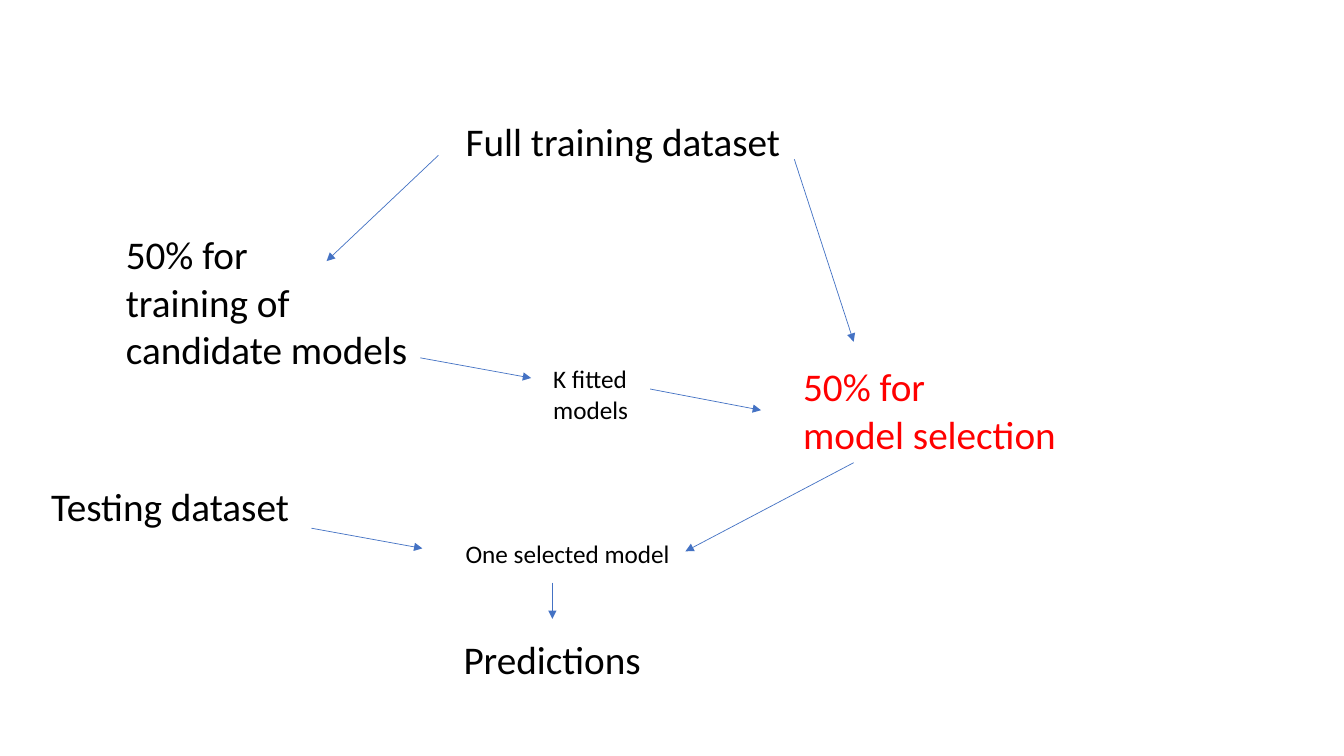
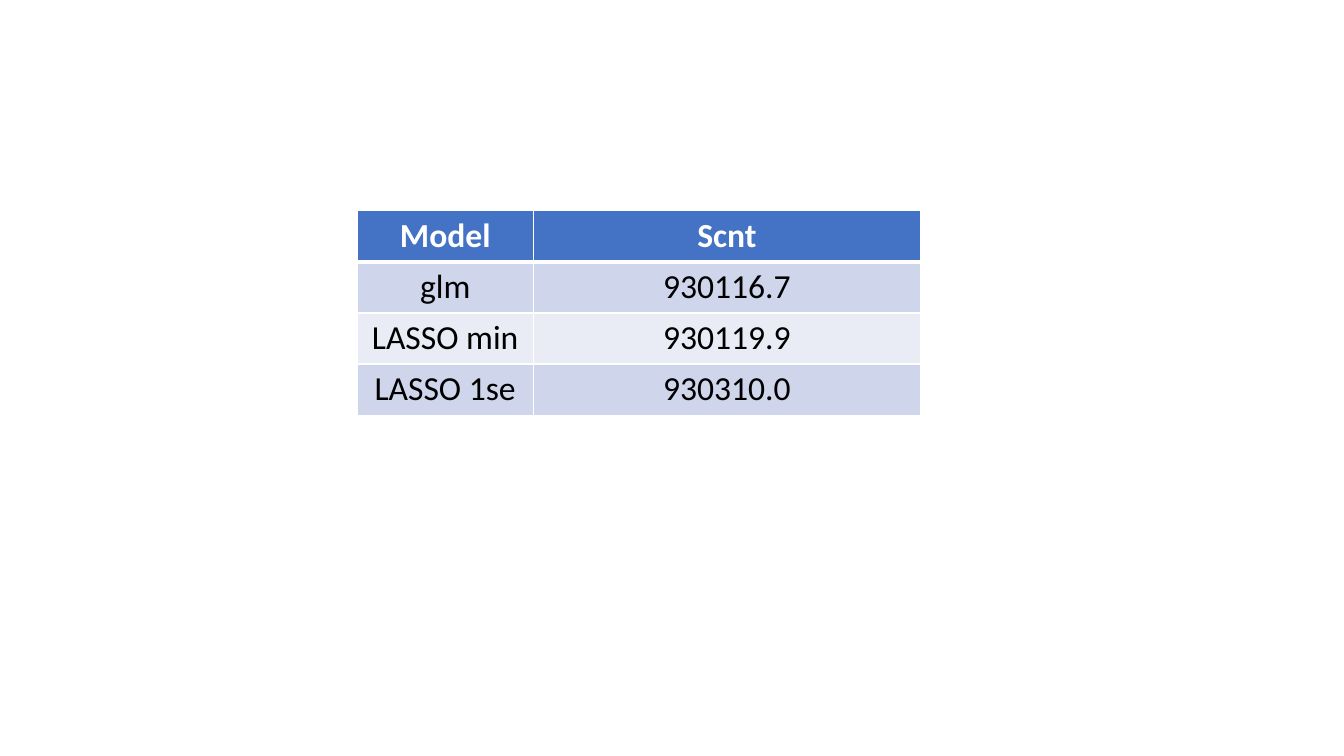
from pptx import Presentation
from pptx.dml.color import RGBColor
from pptx.enum.shapes import MSO_CONNECTOR
from pptx.enum.text import MSO_AUTO_SIZE, PP_ALIGN
from pptx.oxml.ns import qn
from pptx.util import Pt
from lxml import etree

STRAIGHT = MSO_CONNECTOR.STRAIGHT
GROW = MSO_AUTO_SIZE.SHAPE_TO_FIT_TEXT
CENTER = PP_ALIGN.CENTER

FONT = "Calibri"
BLACK, WHITE, RED = "000000", "FFFFFF", "FF0000"
BLUE, BAND_DARK, BAND_LIGHT = "4472C4", "CFD5EA", "E9EBF5"
LARGE, MEDIUM, SMALL = 28, 24, 18


def color(value):
    return RGBColor.from_string(value)


def add_span(para, text, size, ink, bold=False):
    span = para.add_run()
    span.text = text
    span.font.name = FONT
    span.font.size = Pt(size)
    span.font.bold = bold
    span.font.color.rgb = color(ink)


def add_label(page, left, top, width, height, lines, size=LARGE, ink=BLACK):
    box = page.shapes.add_textbox(Pt(left), Pt(top), Pt(width), Pt(height))
    frame = box.text_frame
    frame.word_wrap = True
    frame.auto_size = GROW
    for index, line in enumerate(lines):
        para = frame.add_paragraph() if index else frame.paragraphs[0]
        add_span(para, line, size, ink)


def add_arrow(page, x1, y1, x2, y2):
    arrow = page.shapes.add_connector(STRAIGHT, Pt(x1), Pt(y1), Pt(x2), Pt(y2))
    arrow.line.color.rgb = color(BLUE)
    arrow.line.width = Pt(0.5)
    etree.SubElement(arrow.line._get_or_add_ln(), qn("a:tailEnd"), type="triangle")
    etree.SubElement(arrow._element.spPr, qn("a:effectLst"))


def set_borders(cell, widths):
    """Draw white cell borders; widths maps a side (L, R, T, B) to points."""
    properties = cell._tc.get_or_add_tcPr()
    for side, width in widths.items():
        border = etree.SubElement(properties, qn("a:ln" + side), w=str(Pt(width)))
        fill = etree.SubElement(border, qn("a:solidFill"))
        etree.SubElement(fill, qn("a:srgbClr"), val=WHITE)


def draw_workflow(page, left, top):
    # Labels: left, top, width, height, lines, size, ink
    wide = 241.2
    labels = [
        (296, 0, wide, 41, ["Full training dataset"], LARGE, BLACK),
        (53.3, 81.3, wide, 108.7, ["50% for", "training of candidate models"], LARGE, BLACK),
        (537.1, 175.6, wide, 75, ["50% for", "model selection"], LARGE, RED),
        (358.6, 176.3, 92.2, 51, ["K fitted models"], SMALL, BLACK),
        (296, 300.9, 182.2, 29, ["One selected model"], SMALL, BLACK),
        (0, 261.3, wide, 41, ["Testing dataset"], LARGE, BLACK),
        (294.5, 370, wide, 41, ["Predictions"], LARGE, BLACK),
    ]
    for x, y, *rest in labels:
        add_label(page, left + x, top + y, *rest)

    # Arrows: start and end points
    arrows = [
        (283.7, 30.9, 203.8, 106.5),    # full dataset to training half
        (537.9, 33.8, 580.3, 164.1),    # full dataset to selection half
        (270.7, 175.6, 349.9, 190),     # training half to fitted models
        (434.9, 197.9, 514.1, 213),     # fitted models to selection half
        (580.3, 250.5, 460.1, 313.8),   # selection half to selected model
        (193, 297.3, 272.2, 311.7),     # testing dataset to selected model
        (365.1, 336.2, 365.1, 362.1),   # selected model to predictions
    ]
    for x1, y1, x2, y2 in arrows:
        add_arrow(page, left + x1, top + y1, left + x2, top + y2)


def draw_scores(page, left, top, column_widths, row_height):
    rows = [
        ("Model", "Scnt"),
        ("glm", "930116.7"),
        ("LASSO min", "930119.9"),
        ("LASSO 1se", "930310.0"),
    ]
    table = page.shapes.add_table(
        len(rows), len(column_widths), Pt(left), Pt(top),
        Pt(sum(column_widths)), Pt(row_height * len(rows))).table
    for column, width in zip(table.columns, column_widths):
        column.width = Pt(width)

    for r, values in enumerate(rows):
        header = r == 0
        band = BLUE if header else BAND_DARK if r % 2 else BAND_LIGHT
        for c, value in enumerate(values):
            cell = table.cell(r, c)
            # The rule under the header is thicker than the others
            set_borders(cell, {"L": 1, "R": 1, "T": 3 if r == 1 else 1,
                               "B": 3 if header else 1})
            cell.fill.solid()
            cell.fill.fore_color.rgb = color(band)
            para = cell.text_frame.paragraphs[0]
            para.alignment = CENTER
            add_span(para, value, MEDIUM, WHITE if header else BLACK, header)


deck = Presentation()
deck.slide_width, deck.slide_height = Pt(960), Pt(540)
blank = deck.slide_layouts[6]

draw_workflow(deck.slides.add_slide(blank), 29.5, 80)
draw_scores(deck.slides.add_slide(blank), 255, 150.5, (126, 276.5), 36.5)

deck.save("out.pptx")
